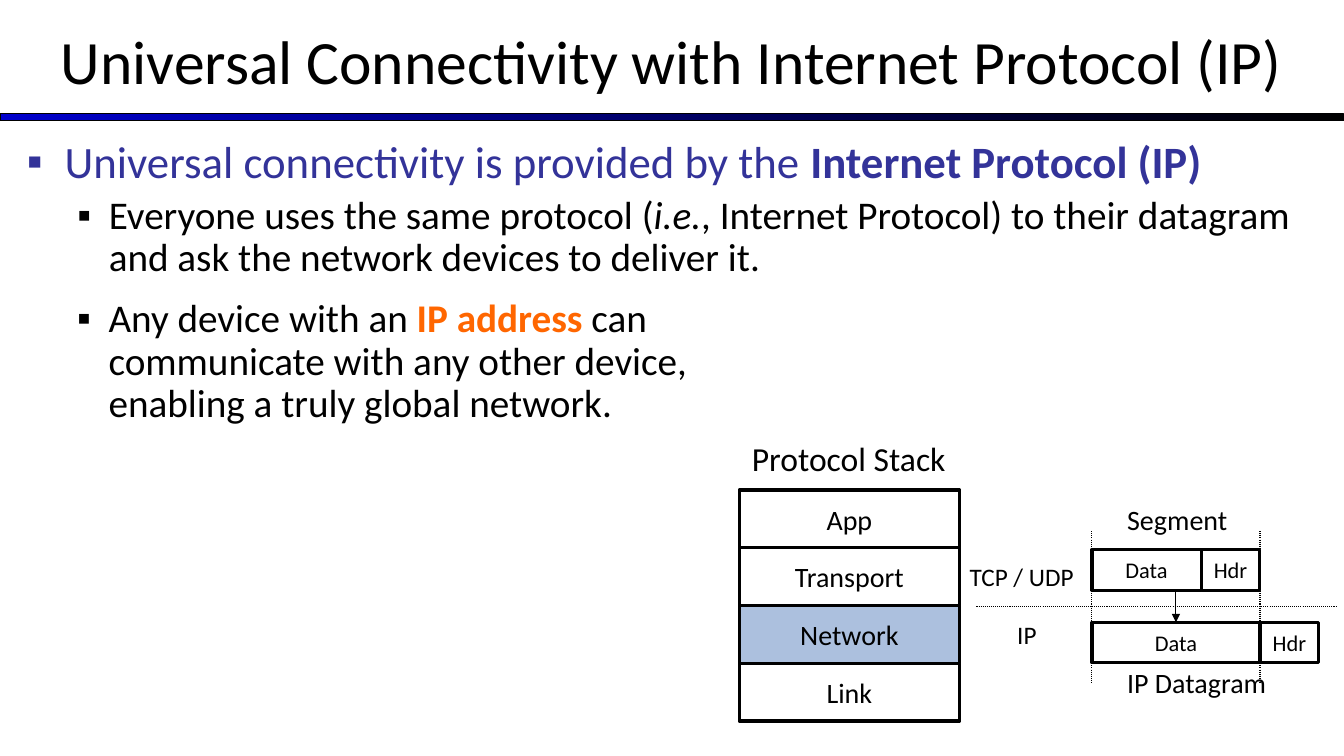
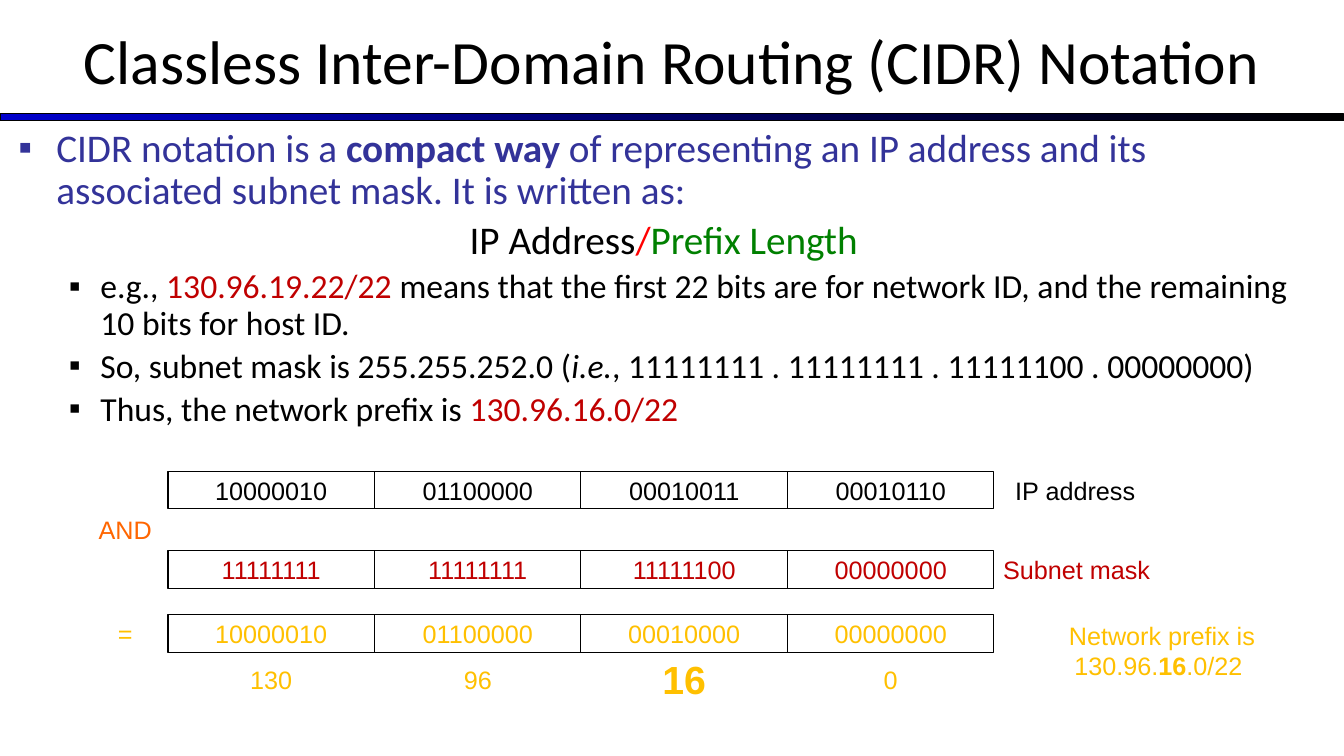
"""Build two slides on Internet Protocol addressing."""
import pptx
import pptx.dml.color
import pptx.enum.dml
import pptx.enum.shapes
import pptx.enum.text
import pptx.oxml
import pptx.oxml.ns
import pptx.util

Pt = pptx.util.Pt
RECT = pptx.enum.shapes.MSO_SHAPE.RECTANGLE
ALIGN = pptx.enum.text.PP_ALIGN
ANCHOR = pptx.enum.text.MSO_ANCHOR
INK = {
    "black": "000000", "navy": "333399", "blue": "0000CC", "pale": "ACC0DE",
    "orange": "FF6600", "red": "FF0000", "green": "008000", "brick": "C00000",
    "gold": "FFC000",
}
INDENT = [(27, -27), (58.5, -22.5)]


def tint(name):
    """Return the named colour."""
    return pptx.dml.color.RGBColor.from_string(INK[name])


def node(tag, **attrs):
    """Return a drawing element with the given attributes."""
    item = pptx.oxml.parse_xml(f"<a:{tag} {pptx.oxml.ns.nsdecls('a')}/>")
    for key, value in attrs.items():
        item.set(key, value)
    return item


def place(shape, box):
    """Move a shape to a box of left, top, width and height."""
    shape.left, shape.top, shape.width, shape.height = map(Pt, box)


def write(para, runs, size, face="Calibri"):
    """Add runs of text, colour and an optional b or i mark."""
    for text, color, *mark in runs:
        if text == "\n":
            para.add_line_break()
            continue
        run = para.add_run()
        run.text = text
        run.font.size, run.font.name = Pt(size), face
        run.font.color.rgb = tint(color)
        run.font.bold, run.font.italic = "b" in mark, "i" in mark


def bullet(para, level, color):
    """Give a paragraph a square bullet and a hanging indent."""
    para.level = level
    left, hang = INDENT[level]
    props = para._p.get_or_add_pPr()
    props.set("marL", str(Pt(left)))
    props.set("indent", str(Pt(hang)))
    shade = node("buClr")
    shade.append(node("srgbClr", val=INK[color]))
    for item in (shade, node("buFont", typeface="Arial"), node("buChar", char="▪")):
        props.append(item)


def center(para):
    """Centre a paragraph and drop its bullet."""
    props = para._p.get_or_add_pPr()
    props.set("marL", "0")
    props.set("indent", "0")
    props.append(node("buNone"))
    para.alignment = ALIGN.CENTER


def outline(frame, rows):
    """Write rows of level, size and runs; level None is centred."""
    frame.word_wrap = True
    frame.auto_size = pptx.enum.text.MSO_AUTO_SIZE.NONE
    frame.vertical_anchor = ANCHOR.TOP
    for i, (level, size, runs) in enumerate(rows):
        para = frame.add_paragraph() if i else frame.paragraphs[0]
        if level is None:
            center(para)
        else:
            bullet(para, level, "black" if level else "navy")
        para.line_spacing = 0.9
        para.space_before = Pt(0.2 * size if i else 0)
        write(para, runs, size)


def label(slide, box, runs, size, face="Calibri", align=ALIGN.CENTER, anchor=ANCHOR.MIDDLE):
    """Add a text box holding one paragraph."""
    shape = slide.shapes.add_textbox(*map(Pt, box))
    frame = shape.text_frame
    frame.word_wrap, frame.vertical_anchor = True, anchor
    frame.paragraphs[0].alignment = align
    write(frame.paragraphs[0], runs, size, face)


def cell(slide, box, text, size, face="Calibri", color="black", width=2.25, fill=None):
    """Add an outlined rectangle with centred text."""
    shape = slide.shapes.add_shape(RECT, *map(Pt, box))
    shape.shadow.inherit = False
    if fill:
        shape.fill.solid()
        shape.fill.fore_color.rgb = tint(fill)
    else:
        shape.fill.background()
    shape.line.color.rgb, shape.line.width = tint("black"), Pt(width)
    frame = shape.text_frame
    frame.word_wrap, frame.vertical_anchor = True, ANCHOR.MIDDLE
    frame.paragraphs[0].alignment = ALIGN.CENTER
    write(frame.paragraphs[0], [(text, color)], size, face)
    return shape


def link(slide, start, end, dotted=True):
    """Add a thin line, dotted or with an arrowhead."""
    kind = pptx.enum.shapes.MSO_CONNECTOR.STRAIGHT
    line = slide.shapes.add_connector(kind, *map(Pt, start + end))
    line.line.color.rgb, line.line.width = tint("black"), Pt(0.75)
    if dotted:
        line.line.dash_style = pptx.enum.dml.MSO_LINE.ROUND_DOT
    else:
        line.line._get_or_add_ln().append(node("tailEnd", type="triangle"))
    line.element.spPr.append(node("effectLst"))
    return line


def theme(layout, slide):
    """Set the shared title place and move the gradient band to the layout."""
    place(layout.placeholders[0], (0, -2, 960, 90))
    band = slide.shapes.add_shape(RECT, Pt(0), Pt(81.25), Pt(960), Pt(5))
    band.shadow.inherit = False
    band.line.color.rgb, band.line.width = tint("black"), Pt(0.75)
    band.fill.gradient()
    band.fill.gradient_angle = 0
    for stop, spot, name in zip(band.fill.gradient_stops, (0, 1), ("blue", "black")):
        stop.position, stop.color.rgb = spot, tint(name)
    layout.element.cSld.spTree.append(band.element)


def head(slide, title, box, rows):
    """Fill the title and body placeholders."""
    frame = slide.shapes.title.text_frame
    frame.text = title
    frame.auto_size = pptx.enum.text.MSO_AUTO_SIZE.NONE
    frame.vertical_anchor = ANCHOR.MIDDLE
    para = frame.paragraphs[0]
    para.alignment = ALIGN.CENTER
    font = para.runs[0].font
    font.size, font.name, font.color.rgb = Pt(44), "Calibri", tint("black")
    body = slide.placeholders[1]
    place(body, box)
    outline(body.text_frame, rows)


def stack(slide):
    """Draw the four protocol layers and their notes."""
    left, top, width, height = 528, 350, 157.5, 41.25
    for i, name in enumerate(["App", "Transport", "Network", "Link"]):
        fill = "pale" if name == "Network" else None
        cell(slide, (left, top + i * height, width, height), name, 20, fill=fill)
    label(slide, (530, 313, 186, 29), [("Protocol Stack", "black")], 24, align=ALIGN.LEFT)
    side = left + width
    label(slide, (side, top + height, 120, height), [("TCP / UDP", "black")], 18,
          align=ALIGN.LEFT)
    label(slide, (side, top + 2 * height, 96, height), [("IP", "black")], 18)


def packet(slide):
    """Draw a segment wrapped into a datagram."""
    left, mid, right, high, low, tall = 780, 858, 900, 392.5, 444.5, 29
    header = right - mid
    cell(slide, (left, high, mid - left, tall), "Data", 16)
    cell(slide, (mid, high, header, tall), "Hdr", 16)
    data = cell(slide, (left, low, right - left, tall), "Data", 16)
    cell(slide, (right, low, header, tall), "Hdr", 16)
    center_x = (left + right) / 2
    arrow = link(slide, (center_x, high + tall), (center_x, low), dotted=False)
    arrow.end_connect(data, 0)
    link(slide, (697.5, 433.5), (954, 433.5))
    for x in (left, right):
        link(slide, (x, 379.5), (x, 487.5))
    for text, top, width in [("Segment", 356.5, 90), ("IP Datagram", 473, 120)]:
        label(slide, (798, top, width, tall), [(text, "black")], 20, align=ALIGN.LEFT)


def bits(slide):
    """Draw the masking sum in four octets with its labels."""
    left, width, height = 120, 147.5, 27
    rows = [
        (336.5, "black", "10000010 01100000 00010011 00010110"),
        (393.25, "brick", "11111111 11111111 11111100 00000000"),
        (439.25, "gold", "10000010 01100000 00010000 00000000"),
    ]
    for top, color, octets in rows:
        for i, octet in enumerate(octets.split()):
            cell(slide, (left + i * width, top, width, height), octet, 18, "Arial", color, 0.75)
    for i, value in enumerate(["130", "96", "16", "0"]):
        big = value == "16"
        runs = [(value, "gold", "b" if big else "")]
        label(slide, (left + i * width, 471.5, width, height), runs, 28 if big else 18, "Arial")
    notes = [
        ((1.5, 363.5, 176, 29), [("AND", "orange")]),
        ((1.5, 438, 176, 29), [("=", "gold")]),
        ((680, 336, 176, 29), [("IP address", "black")]),
        ((681, 392.5, 176, 29), [("Subnet mask", "brick")]),
        ((712, 439.5, 236, 51), [("Network prefix is", "gold"), ("\n", "gold"),
                                 ("130.96.", "gold"), ("16", "gold", "b"), (".0/22 ", "gold")]),
    ]
    for box, runs in notes:
        label(slide, box, runs, 18, "Arial", anchor=ANCHOR.TOP)


def main():
    """Build and save the slides."""
    deck = pptx.Presentation()
    deck.slide_width, deck.slide_height = Pt(960), Pt(540)
    layout = deck.slide_layouts[1]
    first, second = (deck.slides.add_slide(layout) for _ in range(2))
    theme(layout, first)

    head(first, "Universal Connectivity with Internet Protocol (IP)", (12, 96, 942, 123), [
        (0, 32, [("Universal connectivity is provided by the ", "navy"),
                 ("Internet Protocol (IP)", "navy", "b")]),
        (1, 28, [("Everyone uses the same protocol (", "black"), ("i.e.", "black", "i"),
                 (", Internet Protocol) to their datagram and ask the network devices "
                  "to deliver it.", "black")]),
    ])
    extra = first.shapes.add_textbox(*map(Pt, (12, 210, 504, 177)))
    outline(extra.text_frame, [
        (1, 28, [("Any device with an ", "black"), ("IP address ", "orange", "b"),
                 ("can communicate with any other device, enabling a truly global network.",
                  "black")]),
    ])
    stack(first)
    packet(first)

    head(second, "Classless Inter-Domain Routing (CIDR) Notation", (6, 88, 936, 404), [
        (0, 28, [("CIDR notation is a ", "navy"), ("compact way ", "navy", "b"),
                 ("of representing an IP address and its associated subnet mask. "
                  "It is written as:", "navy")]),
        (None, 28, [("IP Address", "black"), ("/", "red"), ("Prefix Length", "green")]),
        (1, 24, [("e.g., ", "black"), ("130.96.19.22/22 ", "brick"),
                 ("means that the first 22 bits are for network ID, and the remaining "
                  "10 bits for host ID.", "black")]),
        (1, 24, [("So, subnet mask is 255.255.252.0 (", "black"), ("i.e.", "black", "i"),
                 (", 11111111 . 11111111 . 11111100 . 00000000)", "black")]),
        (1, 24, [("Thus, the network prefix is ", "black"), ("130.96.16.0/22", "brick")]),
    ])
    bits(second)
    deck.save("out.pptx")


if __name__ == "__main__":
    main()
